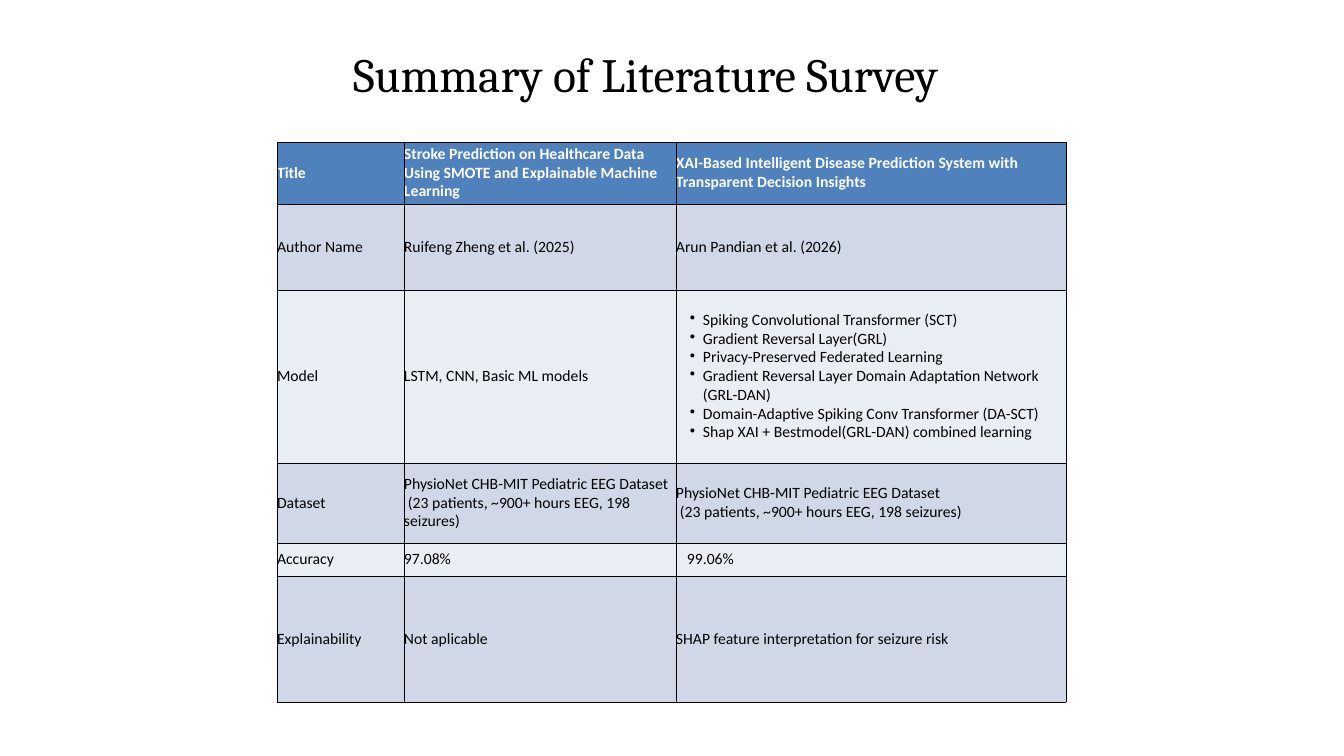
"""Build the literature survey summary slide."""
from dataclasses import dataclass

import lxml.etree
import pptx
import pptx.dml.color
import pptx.enum.text
import pptx.oxml.ns
import pptx.util

EMU_PER_PX = 914400 / 67.2


@dataclass(frozen=True)
class Theme:
    heading_font: str = "Cambria"
    body_font: str = "Calibri"
    heading_size: float = 51.1
    heading_leading: float = 56.2
    body_size: float = 16.8
    body_leading: float = 20.1
    border_width: float = 0.35
    ink: str = "000000"
    header_ink: str = "FFFFFF"
    header_fill: str = "4F81BD"
    bands: tuple = ("D0D8E8", "E9EDF4")


@dataclass(frozen=True)
class Line:
    text: str
    margin: int = 0
    indent: int = 0
    bullet: str = ""


def px(length):
    return pptx.util.Emu(round(length * EMU_PER_PX))


def color(value):
    return pptx.dml.color.RGBColor.from_string(value)


class SlideBuilder:
    def __init__(self, page, theme):
        self.page = page
        self.theme = theme

    def add_line(self, para, line, font, size, leading, ink, bold=False):
        para.line_spacing = pptx.util.Pt(leading)
        properties = para._p.get_or_add_pPr()
        if line.margin or line.indent:
            properties.set("marL", str(px(line.margin)))
            properties.set("indent", str(px(line.indent)))
        if line.bullet:
            para.level = 1
            mark = lxml.etree.SubElement(properties, pptx.oxml.ns.qn("a:buChar"))
            mark.set("char", line.bullet)
        span = para.add_run()
        span.text = line.text
        span.font.name = font
        span.font.size = pptx.util.Pt(size)
        span.font.bold = bold
        span.font.color.rgb = color(ink)

    def heading(self, text, left, top, width, height):
        box = self.page.shapes.add_textbox(px(left), px(top), px(width), px(height))
        frame = box.text_frame
        frame.word_wrap = True
        frame.margin_left = frame.margin_right = 0
        frame.margin_top = frame.margin_bottom = 0
        para = frame.paragraphs[0]
        para.alignment = pptx.enum.text.PP_ALIGN.CENTER
        self.add_line(para, Line(text), self.theme.heading_font, self.theme.heading_size,
                      self.theme.heading_leading, self.theme.ink)

    def border(self, cell):
        properties = cell._tc.get_or_add_tcPr()
        for side in ("lnL", "lnR", "lnT", "lnB"):
            edge = lxml.etree.SubElement(properties, pptx.oxml.ns.qn(f"a:{side}"))
            edge.set("w", str(pptx.util.Pt(self.theme.border_width)))
            paint = lxml.etree.SubElement(edge, pptx.oxml.ns.qn("a:solidFill"))
            tint = lxml.etree.SubElement(paint, pptx.oxml.ns.qn("a:srgbClr"))
            tint.set("val", self.theme.ink)

    def cell(self, cell, lines, fill, ink, bold):
        self.border(cell)
        cell.fill.solid()
        cell.fill.fore_color.rgb = color(fill)
        cell.margin_left = cell.margin_right = 0
        cell.margin_top = cell.margin_bottom = 0
        cell.vertical_anchor = pptx.enum.text.MSO_ANCHOR.MIDDLE
        frame = cell.text_frame
        for index, line in enumerate(lines):
            para = frame.add_paragraph() if index else frame.paragraphs[0]
            self.add_line(para, line, self.theme.body_font, self.theme.body_size,
                          self.theme.body_leading, ink, bold)

    def table(self, rows, left, top, widths, heights):
        frame = self.page.shapes.add_table(len(heights), len(widths), px(left), px(top),
                                           px(sum(widths)), px(sum(heights)))
        table = frame.table
        table.horz_banding = False
        for column, width in zip(table.columns, widths):
            column.width = px(width)
        for row, height in zip(table.rows, heights):
            row.height = px(height)
        for index, contents in enumerate(rows):
            header = index == 0
            fill = self.theme.header_fill if header else self.theme.bands[(index - 1) % 2]
            ink = self.theme.header_ink if header else self.theme.ink
            for cell, content in zip(table.rows[index].cells, contents):
                lines = [Line(content)] if isinstance(content, str) else content
                self.cell(cell, lines, fill, ink, header)


DATASET = [
    Line("PhysioNet CHB-MIT Pediatric EEG Dataset"),
    Line("(23 patients, ~900+ hours EEG, 198 seizures)", indent=4),
]
MODELS = [
    Line(name, margin=27, indent=-13, bullet="•")
    for name in (
        "Spiking Convolutional Transformer (SCT)",
        "Gradient Reversal Layer(GRL)",
        "Privacy-Preserved Federated Learning",
        "Gradient Reversal Layer Domain Adaptation Network (GRL-DAN)",
        "Domain-Adaptive Spiking Conv Transformer (DA-SCT)",
        "Shap XAI + Bestmodel(GRL-DAN) combined learning",
    )
]
SURVEY = [
    ("Title",
     "Stroke Prediction on Healthcare Data Using SMOTE and Explainable Machine Learning",
     "XAI-Based Intelligent Disease Prediction System with Transparent Decision Insights"),
    ("Author Name", "Ruifeng Zheng et al. (2025)", "Arun Pandian et al. (2026)"),
    ("Model", "LSTM, CNN, Basic ML models", MODELS),
    ("Dataset", DATASET, DATASET),
    ("Accuracy", "97.08%", [Line("99.06%", indent=11)]),
    ("Explainability", "Not aplicable", "SHAP feature interpretation for seizure risk"),
]


def main():
    deck = pptx.Presentation()
    deck.slide_width = px(1344)
    deck.slide_height = px(756)
    page = deck.slides.add_slide(deck.slide_layouts[6])
    builder = SlideBuilder(page, Theme())
    builder.table(SURVEY, 277, 142, (127, 272, 390), (62, 86, 173, 80, 33, 126))
    builder.heading("Summary of Literature Survey", 169, 50, 953, 54)
    deck.save("out.pptx")


if __name__ == "__main__":
    main()
